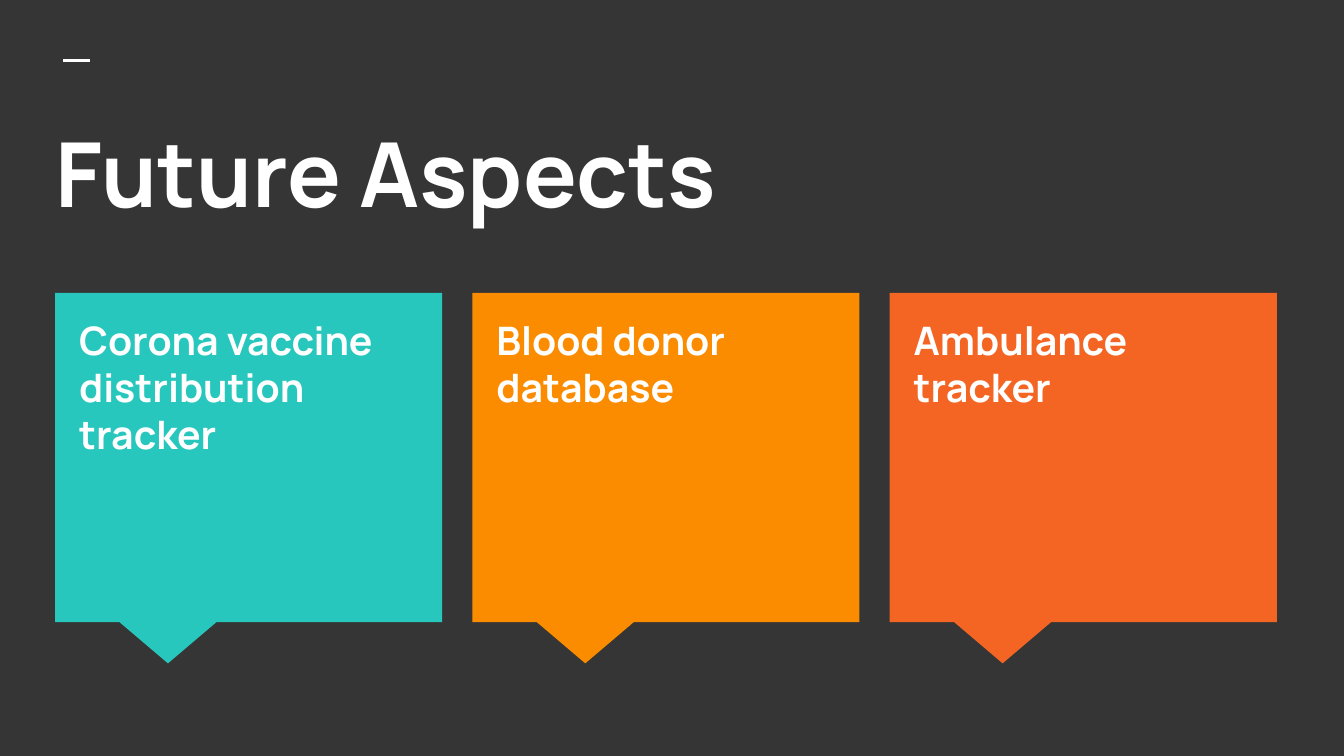
from lxml import etree
from pptx import Presentation
from pptx import util as u
from pptx.dml.color import RGBColor
from pptx.enum import shapes, text
from pptx.oxml.ns import qn

COLORS = {
    "background": "353535",
    "white": "FFFFFF",
    "teal": "27C7BD",
    "amber": "FB8C00",
    "orange": "F46524",
}
FONT = "Manrope"
CARDS = [
    ("Corona vaccine distribution tracker", "teal"),
    ("Blood donor database", "amber"),
    ("Ambulance tracker", "orange"),
]
CARD_TOP, CARD_WIDTH, CARD_HEIGHT = 2.18, 2.88, 2.45
FIRST_LEFT, LAST_LEFT = 0.41, 6.62
CARD_STEP = (LAST_LEFT - FIRST_LEFT) / (len(CARDS) - 1)


def color(name):
    return RGBColor.from_string(COLORS[name])


def write_text(shape, words, size):
    frame = shape.text_frame
    frame.word_wrap = True
    frame.auto_size = text.MSO_AUTO_SIZE.NONE
    frame.vertical_anchor = text.MSO_ANCHOR.TOP
    frame.margin_left = frame.margin_right = u.Inches(0.1)
    frame.margin_top = frame.margin_bottom = u.Inches(0.1)
    para = frame.paragraphs[0]
    para.alignment = text.PP_ALIGN.LEFT
    para.line_spacing = 1.0
    para.space_before = u.Pt(0)
    span = para.add_run()
    span.text = words
    span.font.name = FONT
    span.font.size = u.Pt(size)
    span.font.bold = True
    span.font.color.rgb = color("white")


def add_accent_line(page):
    line = page.shapes.add_connector(
        shapes.MSO_CONNECTOR.STRAIGHT,
        u.Inches(0.47), u.Inches(0.45), u.Inches(0.67), u.Inches(0.45))
    line.line.color.rgb = color("white")
    line.line.width = u.Pt(1.5)
    etree.SubElement(line._element.spPr, qn("a:effectLst"))


def set_title(page, words):
    title = page.shapes.title
    title.left, title.top = u.Inches(0.31), u.Inches(0.78)
    title.width, title.height = u.Inches(9.43), u.Inches(1.12)
    write_text(title, words, 48)


def add_card(page, left, fill):
    """Draw a callout; its default pointer is the one wanted."""
    card = page.shapes.add_shape(
        shapes.MSO_SHAPE.RECTANGULAR_CALLOUT,
        u.Inches(left), u.Inches(CARD_TOP),
        u.Inches(CARD_WIDTH), u.Inches(CARD_HEIGHT))
    card.shadow.inherit = False
    card.fill.solid()
    card.fill.fore_color.rgb = color(fill)
    card.line.fill.background()


def add_card_label(page, left, words):
    box = page.shapes.add_textbox(
        u.Inches(left + 0.08), u.Inches(CARD_TOP + 0.07),
        u.Inches(2.71), u.Inches(2.19))
    write_text(box, words, 21)


def main():
    deck = Presentation()
    deck.slide_width = u.Inches(10)
    deck.slide_height = deck.slide_width * 9 // 16
    page = deck.slides.add_slide(deck.slide_layouts.get_by_name("Title Only"))
    page.background.fill.solid()
    page.background.fill.fore_color.rgb = color("background")

    add_accent_line(page)
    set_title(page, "Future Aspects")
    for index, (words, fill) in enumerate(CARDS):
        left = FIRST_LEFT + index * CARD_STEP
        add_card(page, left, fill)
        add_card_label(page, left, words)
    deck.save("out.pptx")


if __name__ == "__main__":
    main()
